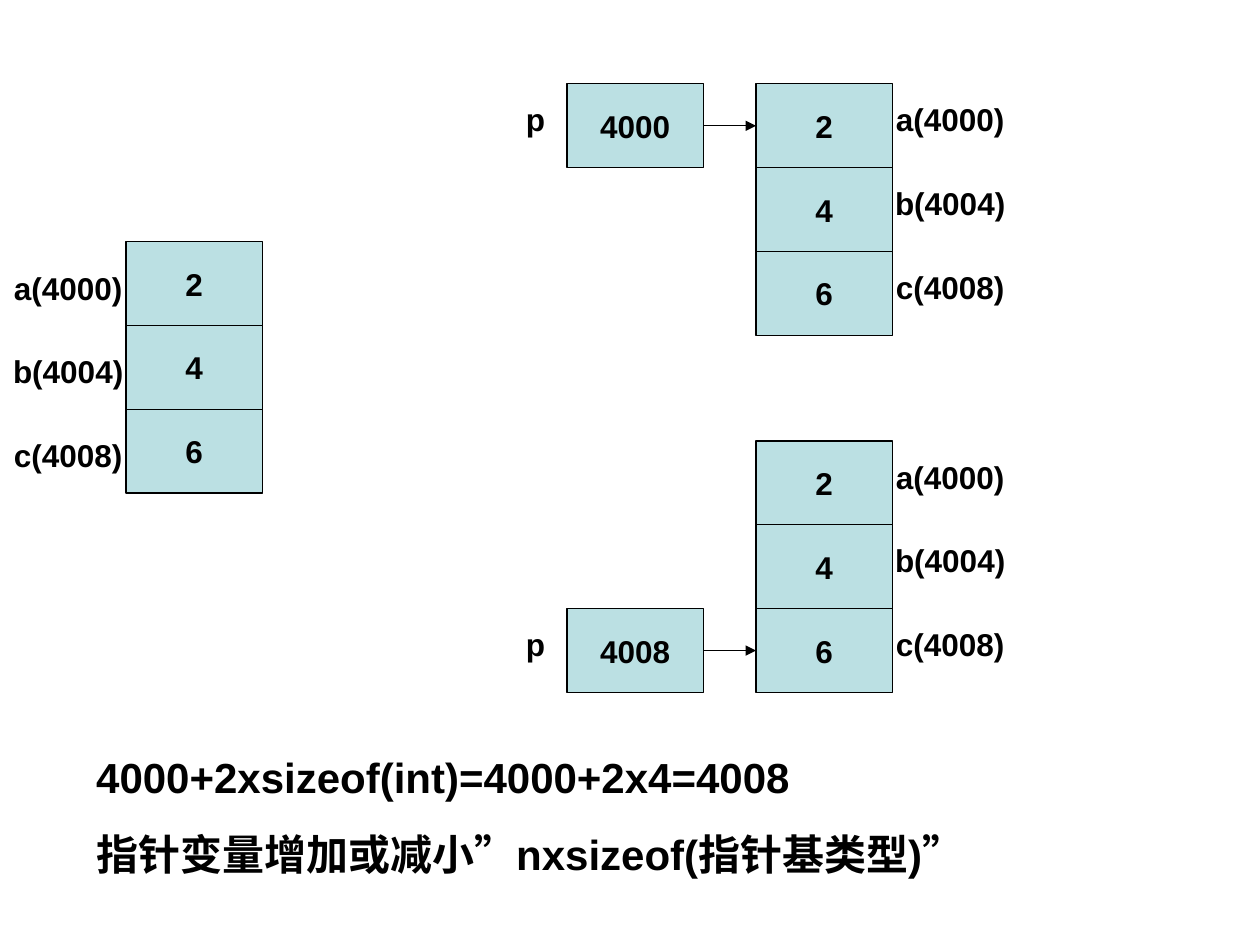
import dataclasses

import lxml.etree
import pptx
import pptx.dml.color
import pptx.enum.shapes
import pptx.enum.text
import pptx.oxml.ns
import pptx.util

Cm = pptx.util.Cm
Pt = pptx.util.Pt
RGB = pptx.dml.color.RGBColor
Align = pptx.enum.text.PP_ALIGN
qn = pptx.oxml.ns.qn


@dataclasses.dataclass
class Theme:
    ink: RGB = RGB(0, 0, 0)
    fill: RGB = RGB(0xBB, 0xE0, 0xE3)
    font: str = "Arial"
    small: int = 18
    large: int = 24
    line: float = 0.75


# Lengths in centimetres
WIDE, HIGH = 2.75, 1.69
TAG_WIDE, TAG_HIGH = 2.33, 1.02
PTR_LEFT, MEM_LEFT = 11.43, 15.24
TAG_DROP = 0.21
CELLS = [("2", "a(4000)"), ("4", "b(4004)"), ("6", "c(4008)")]


class Board:
    def __init__(self, slide, theme):
        self.slide = slide
        self.theme = theme

    def style(self, para, size, align):
        para.alignment = align
        para.font.name = self.theme.font
        para.font.size = Pt(size)
        para.font.bold = True
        para.font.color.rgb = self.theme.ink

    def cell(self, left, top, text):
        box = self.slide.shapes.add_shape(
            pptx.enum.shapes.MSO_SHAPE.RECTANGLE,
            Cm(left), Cm(top), Cm(WIDE), Cm(HIGH))
        box.shadow.inherit = False
        box.fill.solid()
        box.fill.fore_color.rgb = self.theme.fill
        box.line.color.rgb = self.theme.ink
        box.line.width = Pt(self.theme.line)
        frame = box.text_frame
        frame.word_wrap = False
        frame.vertical_anchor = pptx.enum.text.MSO_ANCHOR.MIDDLE
        frame.text = text
        self.style(frame.paragraphs[0], self.theme.small, Align.CENTER)

    def text(self, left, top, width, height, lines, size, align, inset, gap=0):
        box = self.slide.shapes.add_textbox(
            Cm(left), Cm(top), Cm(width), Cm(height))
        frame = box.text_frame
        frame.word_wrap = True
        frame.auto_size = pptx.enum.text.MSO_AUTO_SIZE.SHAPE_TO_FIT_TEXT
        frame.margin_left = frame.margin_right = Cm(inset)
        frame.text = "\n".join(lines)
        for para in frame.paragraphs:
            self.style(para, size, align)
        for para in frame.paragraphs[1:]:
            para.space_before = Pt(gap)

    def tag(self, left, top, width, text):
        self.text(left, top, width, TAG_HIGH, [text],
                  self.theme.small, Align.CENTER, inset=0)

    def arrow(self, start, end, mid):
        line = self.slide.shapes.add_connector(
            pptx.enum.shapes.MSO_CONNECTOR.STRAIGHT,
            Cm(start), Cm(mid), Cm(end), Cm(mid))
        line.line.color.rgb = self.theme.ink
        line.line.width = Pt(self.theme.line)
        props = line.element.spPr
        tail = lxml.etree.SubElement(props.find(qn("a:ln")), qn("a:tailEnd"))
        tail.set("type", "triangle")
        lxml.etree.SubElement(props, qn("a:effectLst"))

    def stack(self, left, top, tag_left, drop):
        """Draw the three variables in memory, with their addresses."""
        for row, (value, name) in enumerate(CELLS):
            level = top + row * HIGH
            self.cell(left, level, value)
            self.tag(tag_left, level + drop, TAG_WIDE, name)

    def state(self, top, row, value):
        """Draw the memory with pointer p aimed at one row."""
        level = top + row * HIGH
        self.stack(MEM_LEFT, top, MEM_LEFT + WIDE, TAG_DROP)
        self.cell(PTR_LEFT, level, value)
        self.tag(10.37, level + TAG_DROP, 0.85, "p")
        self.arrow(PTR_LEFT + WIDE, MEM_LEFT, level + HIGH / 2)


def main():
    deck = pptx.Presentation()
    deck.slide_width, deck.slide_height = Cm(25.4), Cm(19.05)
    theme = Theme()
    board = Board(deck.slides.add_slide(deck.slide_layouts[6]), theme)

    board.stack(2.54, 4.87, 0.21, 2 * TAG_DROP)
    board.state(1.69, 0, "4000")
    board.state(8.89, 2, "4008")
    board.text(1.69, 15.03, 21.8, 2.82,
               ["4000+2xsizeof(int)=4000+2x4=4008",
                "指针变量增加或减小”nxsizeof(指针基类型)”"],
               theme.large, Align.LEFT, inset=0.25, gap=15)
    deck.save("out.pptx")


if __name__ == "__main__":
    main()
